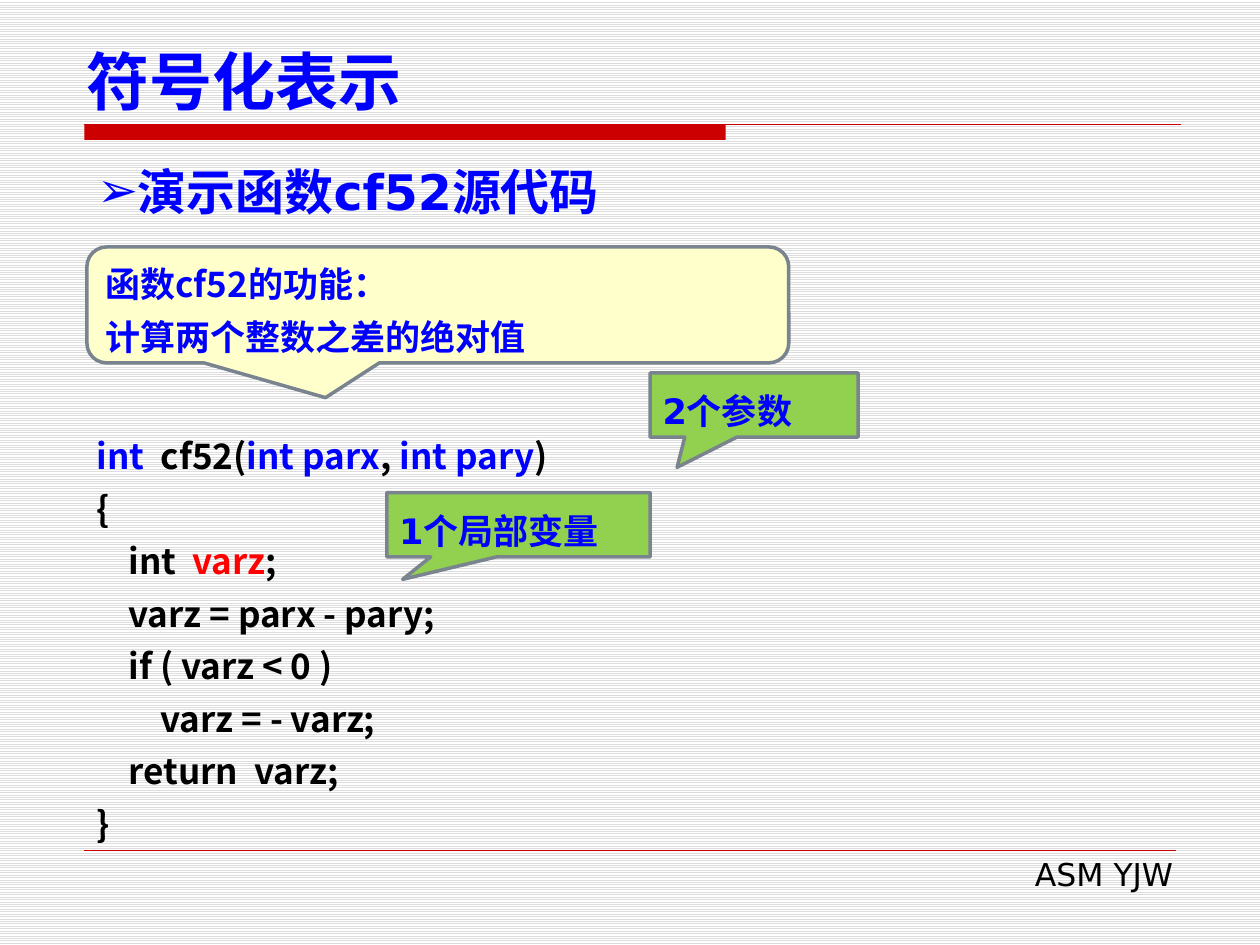
from typing import NamedTuple

from lxml import etree
from pptx import Presentation
from pptx import util as u
from pptx.dml import color
from pptx.enum import dml, shapes, text
from pptx.oxml import ns

SANS = "DejaVu Sans"
CJK = "Noto Sans CJK SC"
BLUE, BLACK, RED = "0000FF", "000000", "FF0000"
RULE, EDGE, GREEN, CREAM = "CC0000", "79848F", "92D050", "FFFFCC"


class Box(NamedTuple):
    left: float
    top: float
    width: float
    height: float


class Style(NamedTuple):
    size: float
    face: str = CJK
    bold: bool = True
    lead: float | None = None
    align: text.PP_ALIGN = text.PP_ALIGN.LEFT


class Call(NamedTuple):
    kind: shapes.MSO_SHAPE
    box: Box
    fill: str
    tail: tuple[float, ...]
    face: str
    lines: list[str]


CODE = [
    [("int  ", BLUE), ("cf52(", BLACK), ("int parx", BLUE), (", ", BLACK),
     ("int pary", BLUE), (")", BLACK)],
    [("{", BLACK)],
    [("    int  ", BLACK), ("varz", RED), (";", BLACK)],
    [("    varz = parx - pary;", BLACK)],
    [("    if ( varz < 0 )", BLACK)],
    [("        varz = - varz;", BLACK)],
    [("    return  varz;", BLACK)],
    [("}", BLACK)],
]

CALLS = [
    Call(shapes.MSO_SHAPE.ROUNDED_RECTANGULAR_CALLOUT, Box(0.69, 1.96, 5.57, 0.92),
         CREAM, (-0.16, 0.8, 0.17), CJK,
         ["函数cf52的功能：", "计算两个整数之差的绝对值"]),
    Call(shapes.MSO_SHAPE.RECTANGULAR_CALLOUT, Box(5.16, 2.96, 1.65, 0.51),
         GREEN, (-0.37, 0.97), SANS, ["2个参数"]),
    Call(shapes.MSO_SHAPE.RECTANGULAR_CALLOUT, Box(3.07, 3.91, 2.09, 0.51),
         GREEN, (-0.44, 0.85), SANS, ["1个局部变量"]),
]


def rgb(code: str) -> color.RGBColor:
    return color.RGBColor.from_string(code)


def place(box: Box) -> list[u.Length]:
    return [u.Inches(side) for side in box]


def move(shape, box: Box) -> None:
    shape.left, shape.top, shape.width, shape.height = place(box)


def write(shape, lines, style: Style, anchor=text.MSO_ANCHOR.TOP, mark=None) -> None:
    frame = shape.text_frame
    frame.word_wrap = True
    frame.auto_size = text.MSO_AUTO_SIZE.NONE
    frame.vertical_anchor = anchor
    for row, parts in enumerate(lines):
        para = frame.add_paragraph() if row else frame.paragraphs[0]
        if mark:
            props = para._p.get_or_add_pPr()
            props.set("marL", "0")
            props.set("indent", "0")
            etree.SubElement(props, ns.qn("a:buChar")).set("char", mark)
        para.alignment = style.align
        para.space_before = u.Pt(0)
        if style.lead:
            para.line_spacing = u.Pt(style.lead)
        for words, tint in parts:
            run = para.add_run()
            run.text = words
            font = run.font
            font.size = u.Pt(style.size)
            font.bold = style.bold
            font.color.rgb = rgb(tint)
            font.name = style.face
            east = etree.SubElement(run._r.get_or_add_rPr(), ns.qn("a:ea"))
            east.set("typeface", CJK)


def rule(slide, left: float, right: float, top: float, width: float) -> None:
    line = slide.shapes.add_connector(
        shapes.MSO_CONNECTOR.STRAIGHT,
        u.Inches(left), u.Inches(top), u.Inches(right), u.Inches(top))
    line.line.color.rgb = rgb(RULE)
    line.line.width = u.Pt(width)
    etree.SubElement(line._element.spPr, ns.qn("a:effectLst"))


def block(slide, kind, box: Box, fill: str):
    shape = slide.shapes.add_shape(kind, *place(box))
    shape.shadow.inherit = False
    shape.fill.solid()
    shape.fill.fore_color.rgb = rgb(fill)
    return shape


def callout(slide, call: Call) -> None:
    shape = block(slide, call.kind, call.box, call.fill)
    for spot, value in enumerate(call.tail):
        shape.adjustments[spot] = value
    shape.line.color.rgb = rgb(EDGE)
    shape.line.width = u.Pt(2)
    write(shape, [[(line, BLUE)] for line in call.lines],
          Style(20, call.face, lead=30), text.MSO_ANCHOR.MIDDLE)


def main() -> None:
    deck = Presentation()
    deck.slide_width, deck.slide_height = u.Inches(10), u.Inches(7.5)
    slide = deck.slides.add_slide(deck.slide_layouts[1])

    back = slide.background.fill
    back.patterned()
    back.pattern = dml.MSO_PATTERN.LIGHT_HORIZONTAL
    back.fore_color.rgb = rgb("DDDDDD")
    back.back_color.rgb = rgb("FFFFFF")

    bar = block(slide, shapes.MSO_SHAPE.RECTANGLE, Box(0.67, 0.99, 5.09, 0.12), RULE)
    bar.line.fill.background()
    rule(slide, 0.67, 9.37, 0.99, 0.75)
    rule(slide, 0.67, 9.33, 6.75, 0.25)

    foot = slide.shapes.add_textbox(*place(Box(3.82, 6.74, 5.59, 0.4)))
    write(foot, [[("ASM YJW", BLACK)]],
          Style(18, SANS, False, align=text.PP_ALIGN.RIGHT))

    title = slide.shapes.title
    move(title, Box(0.59, 0.28, 9.06, 0.71))
    write(title, [[("符号化表示", BLUE)]], Style(36), text.MSO_ANCHOR.BOTTOM)

    body = slide.placeholders[1]
    move(body, Box(0.67, 1.23, 8.66, 0.57))
    write(body, [[("演示函数cf52源代码", BLUE)]],
          Style(28, SANS, align=text.PP_ALIGN.JUSTIFY), mark="➢")

    code = slide.shapes.add_textbox(*place(Box(0.67, 3.32, 4.73, 3.47)))
    write(code, CODE, Style(20, lead=30))

    for call in CALLS:
        callout(slide, call)

    deck.save("out.pptx")


if __name__ == "__main__":
    main()
